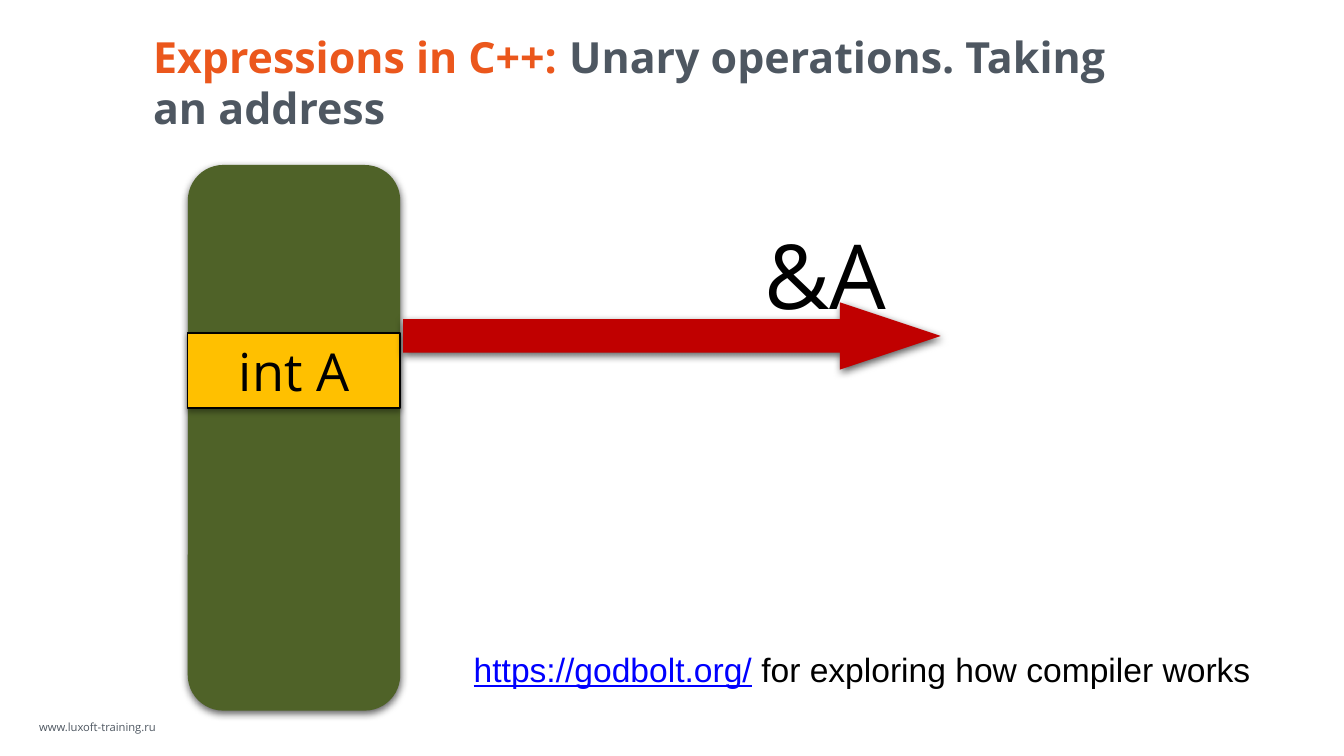
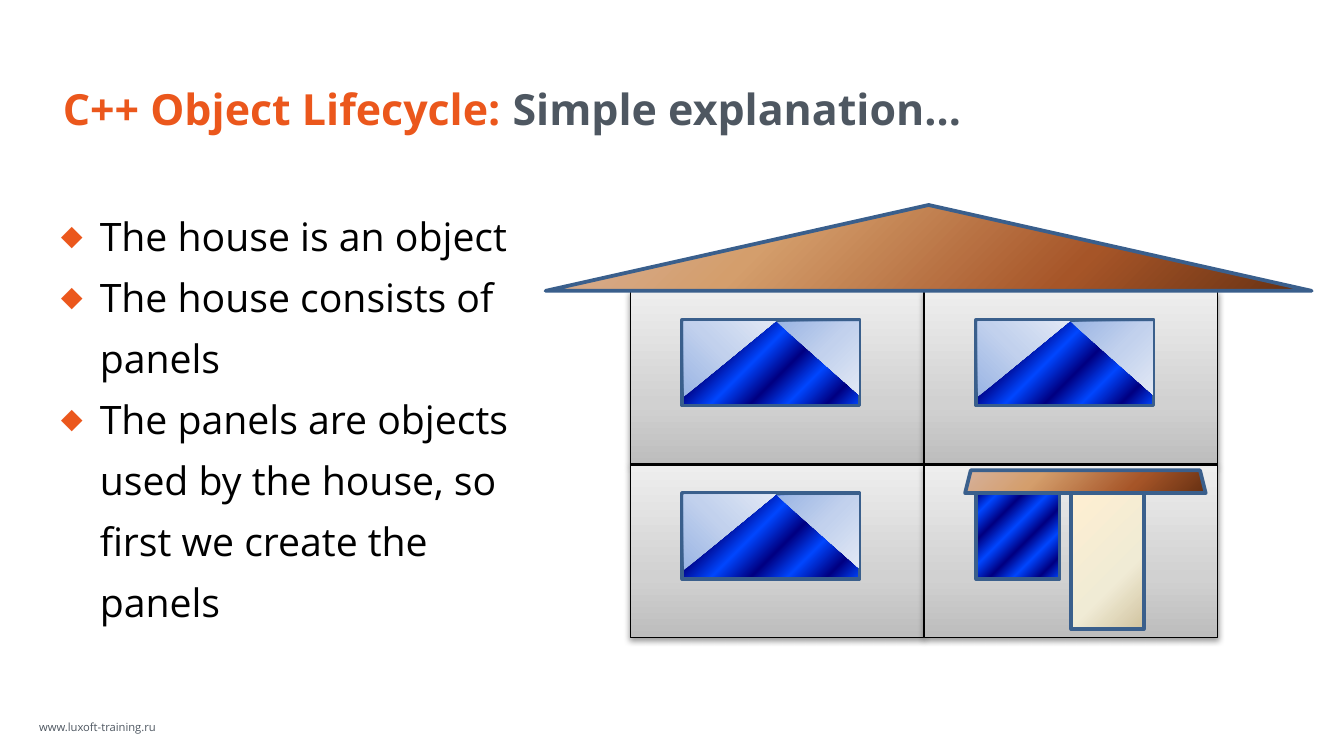
import pptx
import pptx.util
import pptx.dml.color
import pptx.enum.shapes
import pptx.enum.text
import pptx.oxml
import pptx.oxml.ns
from lxml import etree

Pt = pptx.util.Pt
qn = pptx.oxml.ns.qn
SHAPE = pptx.enum.shapes.MSO_SHAPE
ANCHOR = pptx.enum.text.MSO_ANCHOR
ALIGN = pptx.enum.text.PP_ALIGN

ORANGE, SLATE, BLACK, EDGE = "EB571C", "4E5761", "000000", "3A5F8C"
OUTLINE, FRAME = (BLACK, 0.75), (EDGE, 2)
SOFT, BOX, WALL_SHADOW = (63, 4.5, 1.5), (35, 3.1, 1.8), (38, 3.1, 1.6)

WALL = [(0, "BDBDBD"), (35, "D1D1D1"), (100, "EEEEEE")]
GLASS = list(zip((0, 13, 28, 43, 58, 72, 87, 100), ("000082", "0047FF") * 4))
CURTAIN = [(0, "9AB5E4"), (50, "C2D1ED"), (100, "E1E8F5")]
DOOR = [(0, "FFEFD1"), (65, "F0EBD5"), (100, "D1C39F")]
WOOD = [(0, "D6B19C"), (30, "D49E6C"), (70, "A65528"), (100, "663012")]


def color(value):
    return pptx.dml.color.RGBColor.from_string(value)


def child(parent, tag, **attrs):
    el = etree.SubElement(parent, qn(tag))
    for name, value in attrs.items():
        el.set(name, str(value))
    return el


class Deck:
    font = "Open Sans"

    def __init__(self):
        self.prs = pptx.Presentation()
        self.prs.slide_width, self.prs.slide_height = Pt(720), Pt(405)

    def slide(self, title_box, topic, subject):
        self.s = self.prs.slides.add_slide(self.prs.slide_layouts[6])
        self.text((15, 383, 78, 12), [("www.luxoft-training.ru", {"size": 6, "color": SLATE})],
                  insets=(6, 3), wrap=False)
        self.text(title_box, [(topic, {"size": 23, "bold": True, "color": ORANGE}),
                              (subject, {"size": 23, "bold": True, "color": SLATE})],
                  insets=(6, 3), anchor=ANCHOR.MIDDLE)

    def runs(self, p, runs):
        for text, style in runs:
            r = p.add_run()
            r.text = text
            style = {"name": self.font, "color": BLACK, **style}
            r.font.color.rgb = color(style.pop("color"))
            style["size"] = Pt(style["size"])
            for name, value in style.items():
                setattr(r.font, name, value)

    def frame(self, tf, insets=(7.2, 3.6), wrap=True, anchor=ANCHOR.TOP):
        x, y = map(Pt, insets)
        settings = {"margin_left": x, "margin_right": x, "margin_top": y,
                    "margin_bottom": y, "word_wrap": wrap, "vertical_anchor": anchor}
        for name, value in settings.items():
            setattr(tf, name, value)

    def text(self, box, runs, **settings):
        tf = self.s.shapes.add_textbox(*map(Pt, box)).text_frame
        self.frame(tf, **settings)
        self.runs(tf.paragraphs[0], runs)

    def bullets(self, box, items, size):
        tf = self.s.shapes.add_textbox(*map(Pt, box)).text_frame
        self.frame(tf)
        for i, item in enumerate(items):
            p = tf.add_paragraph() if i else tf.paragraphs[0]
            ppr = p._p.get_or_add_pPr()
            ppr.set("marL", str(Pt(21.6)))
            ppr.set("indent", str(Pt(-20.9)))
            child(child(ppr, "a:buClr"), "a:srgbClr", val=ORANGE)
            child(ppr, "a:buSzPct", val=80000)
            child(ppr, "a:buFont", typeface="Arial")
            child(ppr, "a:buChar", char="⬥")
            p.line_spacing = 1.3
            self.runs(p, [(item, {"size": size})])

    def shape(self, kind, box, fill, angle=0, line=None, shadow=None, adj=(), rot=0, flip=False):
        sp = self.s.shapes.add_shape(kind, *map(Pt, box))
        for i, value in enumerate(adj):
            sp.adjustments[i] = value
        sp.rotation = rot
        if flip:
            sp._element.spPr.find(qn("a:xfrm")).set("flipH", "1")
        if isinstance(fill, str):
            sp.fill.solid()
            sp.fill.fore_color.rgb = color(fill)
        else:
            self.gradient(sp, fill, angle)
        if line:
            sp.line.color.rgb, sp.line.width = color(line[0]), Pt(line[1])
        else:
            sp.line.fill.background()
        sp.shadow.inherit = False
        if shadow:
            self.shadow(sp, *shadow)
        return sp

    def gradient(self, sp, stops, angle):
        sp.fill.gradient()
        sp.fill.gradient_angle = (360 - angle) % 360
        gs_list = sp._element.spPr.find(".//" + qn("a:gsLst"))
        for gs in list(gs_list):
            gs_list.remove(gs)
        for pos, value in stops:
            child(child(gs_list, "a:gs", pos=pos * 1000), "a:srgbClr", val=value)

    def shadow(self, sp, alpha, blur, dist):
        effects = sp._element.spPr.find(qn("a:effectLst"))
        outer = child(effects, "a:outerShdw", blurRad=int(Pt(blur)), dist=int(Pt(dist)),
                      dir=90 * 60000, rotWithShape=0)
        child(child(outer, "a:srgbClr", val=BLACK), "a:alpha", val=alpha * 1000)

    def label(self, sp, text, size):
        self.frame(sp.text_frame, wrap=False, anchor=ANCHOR.MIDDLE)
        p = sp.text_frame.paragraphs[0]
        p.alignment = ALIGN.CENTER
        self.runs(p, [(text, {"size": size})])

    def pane(self, x, y, width):
        self.shape(SHAPE.RECTANGLE, (x + 27.8, y + 15.1, width, 46), GLASS, 45, FRAME)

    def wall(self, x, y):
        self.shape(SHAPE.RECTANGLE, (x, y, 157.2, 92.4), WALL, 270, OUTLINE, WALL_SHADOW)

    def curtains(self, x, y):
        self.shape(SHAPE.RIGHT_TRIANGLE, (x + 33, y + 11.6, 40.3, 49), CURTAIN, 225, rot=90)
        self.shape(SHAPE.RIGHT_TRIANGLE, (x + 81, y + 13.8, 38.9, 43.9), CURTAIN, 45,
                   rot=270, flip=True)

    def entrance(self, x, y):
        self.pane(x, y, 44.6)
        self.shape(SHAPE.RECTANGLE, (x + 78.7, y + 12.3, 38.9, 75.6), DOOR, 45, FRAME)
        self.shape(SHAPE.TRAPEZOID, (x + 21.8, y + 2.9, 128.9, 12.2), WOOD, 45, FRAME, adj=[0.25])


def address_slide(d):
    d.slide((76, 10.3, 531.4, 67), "Expressions in C++: ", "Unary operations. Taking an address")
    d.shape(SHAPE.ROUNDED_RECTANGLE, (100.6, 88.4, 113.8, 292.3), "4F6228",
            shadow=SOFT, adj=[0.167])
    variable = d.shape(SHAPE.RECTANGLE, (100.6, 178.4, 113.8, 40.3), "FFC000",
                       line=OUTLINE, shadow=BOX)
    d.label(variable, "int A", 28)
    d.shape(SHAPE.RIGHT_ARROW, (216, 162, 288, 36), "C00000", shadow=SOFT, adj=[0.5, 1.5])
    d.text((402.5, 114.5, 90, 64), [("&A", {"size": 48})], wrap=False)
    note = {"size": 18, "name": "Arial"}
    d.text((246.7, 344.2, 435, 28.8),
           [("https://godbolt.org/", {**note, "color": "0000FF", "underline": True}),
            (" for exploring how compiler works", note)], wrap=False)


def house_slide(d):
    d.slide((27.7, 16.9, 648, 82), "C++ Object Lifecycle: ", "Simple explanation…")
    for row in range(2):
        for col in range(2):
            x, y = 337.7 + 157.5 * col, 156.2 + 92.9 * row
            d.wall(x, y)
            if row and col:
                d.entrance(x, y)
            else:
                d.pane(x, y, 95)
                d.curtains(x, y)
    d.shape(SHAPE.ISOSCELES_TRIANGLE, (292.3, 109.8, 410.4, 46), WOOD, 45, FRAME)
    d.bullets((24.8, 102.5, 278.6, 270),
              ["The house is an object",
               "The house consists of panels",
               "The panels are objects used by the house, so first we create the panels"], 21)


def main():
    d = Deck()
    address_slide(d)
    house_slide(d)
    d.prs.save("out.pptx")


if __name__ == "__main__":
    main()
